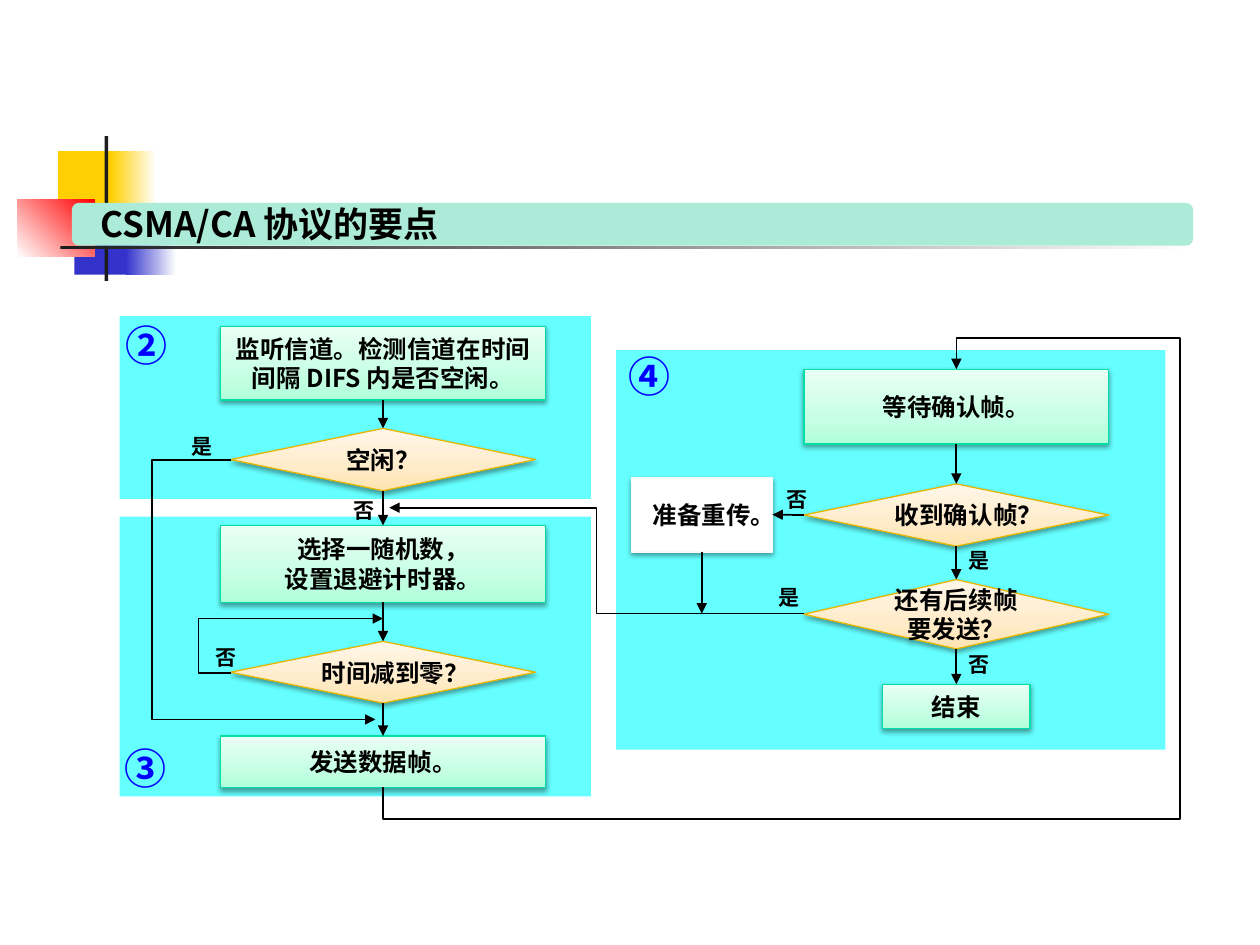
from dataclasses import dataclass
from itertools import pairwise

from lxml.etree import SubElement
from pptx import Presentation
from pptx.dml.color import RGBColor
from pptx.enum.shapes import MSO_CONNECTOR, MSO_SHAPE
from pptx.enum.text import MSO_ANCHOR, MSO_AUTO_SIZE, PP_ALIGN
from pptx.oxml.ns import qn
from pptx.util import Emu, Inches, Pt

COLUMNS, ROWS = 100, 75
CELL = Inches(10) / COLUMNS
FONT = "Noto Sans CJK SC"
LEFT_AXIS, RIGHT_AXIS, RETRY_AXIS = 30.4, 75.9, 55.7
TOP, LEFT, BOTTOM, RIGHT = range(4)

BLACK = RGBColor(0x00, 0x00, 0x00)
WHITE = RGBColor(0xFF, 0xFF, 0xFF)
CHARCOAL = RGBColor(0x1C, 0x1C, 0x1C)
YELLOW = RGBColor(0xFF, 0xCF, 0x01)
INDIGO = RGBColor(0x33, 0x33, 0xCC)
RED = RGBColor(0xFF, 0x00, 0x00)
BLUE = RGBColor(0x00, 0x00, 0xFF)
CYAN = RGBColor(0x66, 0xFF, 0xFF)
MINT = RGBColor(0xAB, 0xEB, 0xD7)
GREEN_EDGE = RGBColor(0x00, 0xDF, 0xA4)
ORANGE_EDGE = RGBColor(0xE3, 0xB7, 0x00)
PALE_EDGE = RGBColor(0xF9, 0xF9, 0xF9)
GREENS = (RGBColor(0xB0, 0xFF, 0xDA), RGBColor(0xC7, 0xFF, 0xE4), RGBColor(0xEA, 0xFF, 0xF4))
ORANGES = (RGBColor(0xFF, 0xE4, 0xB1), RGBColor(0xFF, 0xEB, 0xC8), RGBColor(0xFF, 0xF7, 0xEA))


@dataclass
class Block:
    left: float
    top: float
    width: float
    height: float
    colours: tuple
    angle: int = 0
    kind: int = MSO_SHAPE.RECTANGLE


@dataclass
class Style:
    kind: int
    colours: tuple
    edge: RGBColor


@dataclass
class Node:
    name: str
    style: Style
    axis: float
    top: float
    width: float
    height: float
    text: str


@dataclass
class Label:
    text: str
    left: float
    top: float
    width: float
    height: float = 3
    size: int = 12
    colour: RGBColor = BLACK


@dataclass
class Elbow:
    start: tuple
    end: tuple
    bend: float


STEP = Style(MSO_SHAPE.RECTANGLE, GREENS, GREEN_EDGE)
CHOICE = Style(MSO_SHAPE.DIAMOND, ORANGES, ORANGE_EDGE)
RETRY = Style(MSO_SHAPE.RECTANGLE, (WHITE,), PALE_EDGE)

BLOCKS = [
    Block(4.6, 12, 4.8, 5.2, (YELLOW,)),
    Block(8.8, 12, 3.6, 5.2, (YELLOW, WHITE)),
    Block(5.9, 16.6, 4.6, 5.2, (INDIGO,)),
    Block(10, 16.6, 4, 5.2, (INDIGO, WHITE)),
    Block(1.4, 15.8, 6.1, 4.6, (WHITE, RED), 45),
    Block(8.3, 10.8, 0.3, 11.5, (CHARCOAL,)),
    Block(4.8, 19.5, 90, 0.3, (CHARCOAL, WHITE)),
    Block(48.9, 27.8, 43.6, 31.7, (CYAN,)),
    Block(9.5, 41, 37.4, 22.2, (CYAN,)),
    Block(9.5, 25.1, 37.4, 14.5, (CYAN,)),
    Block(5.7, 16.1, 89, 3.4, (MINT,), kind=MSO_SHAPE.ROUNDED_RECTANGLE),
]
SENDING = [
    Node("listen", STEP, LEFT_AXIS, 25.9, 25.8, 5.85, "监听信道。检测信道在时间间隔 DIFS 内是否空闲。"),
    Node("idle", CHOICE, LEFT_AXIS, 34, 24.2, 4.95, "空闲？"),
    Node("backoff", STEP, LEFT_AXIS, 41.7, 25.8, 6.1, "选择一随机数，\n设置退避计时器。"),
    Node("zero", CHOICE, LEFT_AXIS, 50.9, 24.2, 4.9, "时间减到零？"),
    Node("send", STEP, LEFT_AXIS, 58.4, 25.8, 4.1, "发送数据帧。"),
]
CONFIRMING = [
    Node("wait", STEP, RIGHT_AXIS, 29.3, 24.2, 5.95, "等待确认帧。"),
    Node("acknowledged", CHOICE, RIGHT_AXIS, 38.4, 24.2, 4.95, "收到确认帧？"),
    Node("more", CHOICE, RIGHT_AXIS, 46, 24.2, 5.5, "还有后续帧要发送？"),
    Node("end", STEP, RIGHT_AXIS, 54.3, 11.7, 3.5, "结束"),
]
RESEND = Node("resend", RETRY, RETRY_AXIS, 37.9, 11.2, 5.9, "准备重传。")
ELBOWS = [
    Elbow((63.8, 48.7), (30.9, 40.3), 0.5),
    Elbow((18.3, 53.4), (LEFT_AXIS, 49.1), -0.21),
    Elbow((18.3, 36.5), (29.8, 57.1), -0.54),
]
LABELS = [
    Label("②", 9, 24.9, 5, 5.1, 24, BLUE),
    Label("③", 8.9, 58.4, 5, 5.1, 24, BLUE),
    Label("④", 48.9, 27.3, 5, 5.1, 24, BLUE),
    Label("是", 75.9, 43, 3.7),
    Label("否", 75.9, 51.2, 3.8),
    Label("是", 14.2, 33.9, 3.7),
    Label("否", 16.1, 50.7, 3.7),
    Label("否", 27.1, 39, 3.7),
    Label("否", 61.4, 38.1, 3.7),
    Label("是", 60.8, 45.9, 4),
]


def cells(*counts: float) -> list:
    return [Emu(round(count * CELL)) for count in counts]


def paint(shape, colours: tuple, angle: int) -> None:
    shape.shadow.inherit = False
    if len(colours) == 1:
        shape.fill.solid()
        shape.fill.fore_color.rgb = colours[0]
        return
    shape.fill.gradient()
    shape.fill.gradient_angle = angle
    stops = shape._element.spPr.find(".//" + qn("a:gsLst"))
    for stop in list(stops):
        stops.remove(stop)
    places = (0, 100) if len(colours) == 2 else (0, 35, 100)
    for place, colour in zip(places, colours):
        stop = SubElement(stops, qn("a:gs"), pos=str(place * 1000))
        SubElement(stop, qn("a:srgbClr"), val=str(colour))


def write(frame, text: str, size: int, colour: RGBColor, alignment=PP_ALIGN.LEFT) -> None:
    frame.text = text
    for paragraph in frame.paragraphs:
        paragraph.alignment = alignment
        font = paragraph.font
        font.size, font.bold, font.name = Pt(size), True, FONT
        font.color.rgb = colour
        SubElement(font._element, qn("a:ea"), typeface=FONT)


def draw_block(page, block: Block) -> None:
    shape = page.shapes.add_shape(block.kind, *cells(block.left, block.top, block.width, block.height))
    paint(shape, block.colours, block.angle)
    shape.line.fill.background()


def draw_title(page, text: str) -> None:
    title = page.shapes.title
    page.shapes._spTree.append(title._element)
    title.left, title.top, title.width, title.height = cells(7, 15.6, 30.8, 4.4)
    frame = title.text_frame
    frame.word_wrap, frame.auto_size = False, MSO_AUTO_SIZE.SHAPE_TO_FIT_TEXT
    frame.vertical_anchor = MSO_ANCHOR.TOP
    write(frame, text, 20, BLACK)


def draw_node(page, node: Node):
    left = node.axis - node.width / 2
    shape = page.shapes.add_shape(node.style.kind, *cells(left, node.top, node.width, node.height))
    paint(shape, node.style.colours, 90)
    shape.line.color.rgb, shape.line.width = node.style.edge, Pt(0.75)
    effects = shape._element.spPr.find(qn("a:effectLst"))
    shadow = SubElement(effects, qn("a:outerShdw"), blurRad=str(Pt(3.1)), dist=str(Pt(1.6)),
                        dir="5400000", rotWithShape="0")
    tint = SubElement(shadow, qn("a:srgbClr"), val=str(BLACK))
    SubElement(tint, qn("a:alpha"), val="38000")
    shape.text_frame.vertical_anchor = MSO_ANCHOR.MIDDLE
    write(shape.text_frame, node.text, 14, BLACK, PP_ALIGN.CENTER)
    return shape


def draw_arrow(page, start: tuple, end: tuple, kind=MSO_CONNECTOR.STRAIGHT):
    arrow = page.shapes.add_connector(kind, *cells(*start, *end))
    arrow.line.color.rgb, arrow.line.width = BLACK, Pt(1)
    SubElement(arrow.line._get_or_add_ln(), qn("a:tailEnd"), type="triangle")
    SubElement(arrow._element.spPr, qn("a:effectLst"))
    return arrow


def join(page, source, source_side: int, target, target_side: int) -> None:
    arrow = draw_arrow(page, (0, 0), (1, 1))
    arrow.begin_connect(source, source_side)
    arrow.end_connect(target, target_side)


def bend(arrow, preset: str, *shares: float) -> None:
    geometry = arrow._element.spPr.find(qn("a:prstGeom"))
    geometry.set("prst", preset)
    guides = geometry.find(qn("a:avLst"))
    for number, share in enumerate(shares, 1):
        SubElement(guides, qn("a:gd"), name=f"adj{number}", fmla=f"val {round(share * 100000)}")


def draw_return(page, start: tuple, end: tuple) -> None:
    arrow = draw_arrow(page, start, end, MSO_CONNECTOR.ELBOW)
    across, down = end[0] - start[0], start[1] - end[1]
    middle, centre = (start[0] + end[0]) / 2, (start[1] + end[1]) / 2
    arrow.left, arrow.top, arrow.width, arrow.height = cells(
        middle - down / 2, centre - across / 2, down, across)
    frame = arrow._element.spPr.find(qn("a:xfrm"))
    for name, value in (("rot", "5400000"), ("flipH", "1"), ("flipV", "1")):
        frame.set(name, value)
    bend(arrow, "bentConnector5", -0.075, 1.39, 1.075)


def draw_label(page, label: Label) -> None:
    box = page.shapes.add_textbox(*cells(label.left, label.top, label.width, label.height))
    box.text_frame.word_wrap = False
    box.text_frame.auto_size = MSO_AUTO_SIZE.SHAPE_TO_FIT_TEXT
    write(box.text_frame, label.text, label.size, label.colour)


def main() -> None:
    deck = Presentation()
    deck.slide_width, deck.slide_height = cells(COLUMNS, ROWS)
    page = deck.slides.add_slide(deck.slide_layouts[5])
    for block in BLOCKS:
        draw_block(page, block)
    draw_title(page, "CSMA/CA 协议的要点")
    shapes = {node.name: draw_node(page, node) for node in [*SENDING, *CONFIRMING, RESEND]}
    for chain in (SENDING, CONFIRMING):
        for source, target in pairwise(chain):
            join(page, shapes[source.name], BOTTOM, shapes[target.name], TOP)
    join(page, shapes["acknowledged"], LEFT, shapes["resend"], RIGHT)
    draw_arrow(page, (RETRY_AXIS, 43.8), (RETRY_AXIS, 48.7)).begin_connect(shapes["resend"], BOTTOM)
    draw_return(page, (LEFT_AXIS, 62.5), (RIGHT_AXIS, 29.3))
    for elbow in ELBOWS:
        bend(draw_arrow(page, elbow.start, elbow.end, MSO_CONNECTOR.ELBOW), "bentConnector3", elbow.bend)
    for label in LABELS:
        draw_label(page, label)
    deck.save("out.pptx")


if __name__ == "__main__":
    main()
